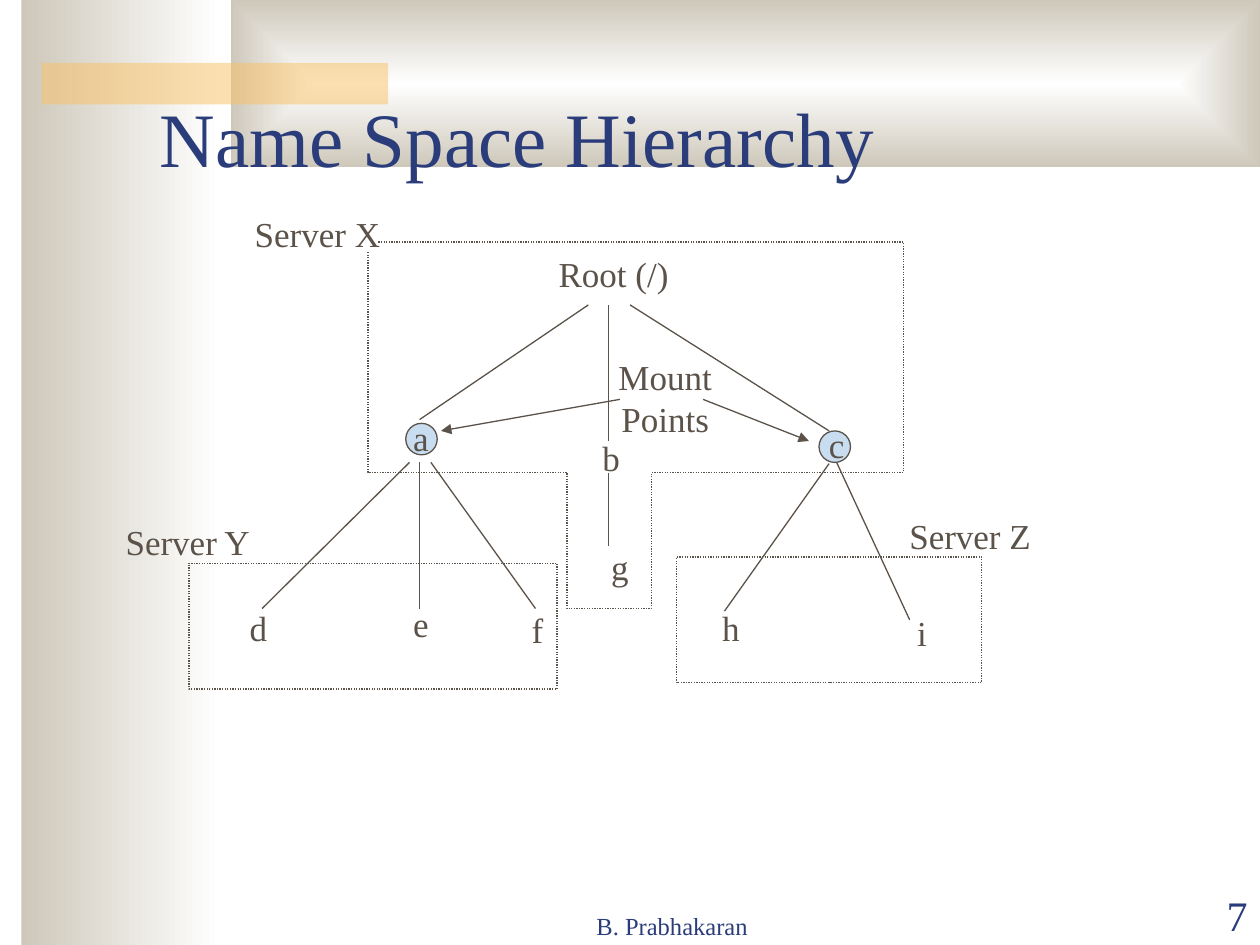
from lxml.etree import SubElement
from pptx import Presentation
from pptx.dml.color import RGBColor
from pptx.enum.dml import MSO_LINE
from pptx.enum.shapes import MSO_CONNECTOR, MSO_SHAPE
from pptx.enum.text import MSO_ANCHOR as Anchor, MSO_AUTO_SIZE as AutoSize, PP_ALIGN as Align
from pptx.oxml.ns import qn
from pptx.util import Inches, Pt

FONT = "Times New Roman"
INK, NAVY, STONE, WHITE = "5B5249", "2A3D7A", "CEC8BA", "FFFFFF"
AMBER, SKY = "FAC164", "C9DDF1"

LABELS = [
    ("Root (/)", 4.32, 1.95, 1.1), ("Server X", 1.87, 1.63, 1.3),
    ("Server Y", 0.84, 4.08, 1.3), ("Server Z", 7.05, 4.03, 1.3),
    ("a", 3.18, 3.25, 0.32), ("b", 4.68, 3.41, 0.34), ("c", 6.48, 3.31, 0.32),
    ("d", 1.88, 4.76, 0.34), ("e", 3.18, 4.73, 0.32), ("f", 4.12, 4.78, 0.29),
    ("g", 4.75, 4.28, 0.34), ("h", 5.63, 4.76, 0.34), ("i", 7.18, 4.8, 0.27),
]
BRANCHES = [
    (4.67, 2.42, 3.33, 3.33), (4.83, 2.42, 4.83, 3.5), (5, 2.42, 6.58, 3.42),
    (4.83, 3.75, 4.83, 4.33),
    (3.25, 3.67, 2.08, 4.83), (3.33, 3.67, 3.33, 4.83), (3.42, 3.67, 4.25, 4.83),
    (6.58, 3.68, 5.75, 4.85), (6.64, 3.67, 7.22, 4.92),
]
MOUNT_ARROWS = [(4.92, 3.17, 3.5, 3.42), (5.58, 3.17, 6.42, 3.5)]
SERVER_X = [(2.92, 2), (2.92, 3.75), (4.5, 3.75), (4.5, 4.83), (5.17, 4.83),
            (5.17, 3.75), (7.17, 3.75), (7.17, 1.92), (3, 1.92)]


def color(code):
    """Turn a hex string into a colour."""
    return RGBColor.from_string(code)


def add_panel(slide, box, preset=MSO_SHAPE.RECTANGLE, fill=None):
    """Add a borderless preset shape with an optional solid fill."""
    panel = slide.shapes.add_shape(preset, *map(Inches, box))
    panel.shadow.inherit = False
    panel.line.fill.background()
    if fill:
        panel.fill.solid()
        panel.fill.fore_color.rgb = color(fill)
    else:
        panel.fill.background()
    return panel


def add_gradient(slide, box, start, end, from_center=False):
    """Add a panel shaded from left to right or from its center outwards."""
    panel = add_panel(slide, box)
    panel.fill.gradient()
    panel.fill.gradient_angle = 0
    for stop, code in zip(panel.fill.gradient_stops, (start, end)):
        stop.color.rgb = color(code)
    if from_center:
        shading = panel.element.spPr.find(qn("a:gradFill"))
        shading.remove(shading.find(qn("a:lin")))
        route = SubElement(shading, qn("a:path"), {"path": "rect"})
        SubElement(route, qn("a:fillToRect"), dict.fromkeys("ltrb", "50000"))


def draw_outline(shape, dotted=False):
    """Give a shape or connector the thin diagram line."""
    shape.line.color.rgb = color(INK)
    shape.line.width = Pt(0.75)
    if dotted:
        shape.line.dash_style = MSO_LINE.ROUND_DOT


def add_server_x(slide):
    """Add the dotted open outline around the files of server X."""
    start, *corners = [(Inches(x), Inches(y)) for x, y in SERVER_X]
    builder = slide.shapes.build_freeform(*start)
    builder.add_line_segments(corners, close=False)
    server = builder.convert_to_shape()
    server.shadow.inherit = False
    server.fill.background()
    draw_outline(server, dotted=True)


def add_link(slide, ends, arrow=False):
    """Add a straight line, with an arrowhead at its end if asked."""
    link = slide.shapes.add_connector(MSO_CONNECTOR.STRAIGHT, *map(Inches, ends))
    draw_outline(link)
    if arrow:
        outline = link.element.spPr.find(qn("a:ln"))
        SubElement(outline, qn("a:tailEnd"), {"type": "triangle"})
    SubElement(link.element.spPr, qn("a:effectLst"))


def add_text(slide, text, box, size=20, ink=INK, align=Align.CENTER,
             anchor=Anchor.MIDDLE, wrap=False):
    """Add a text box with one paragraph for each line of text."""
    frame = slide.shapes.add_textbox(*map(Inches, box)).text_frame
    frame.word_wrap = wrap
    frame.auto_size = AutoSize.NONE if wrap else AutoSize.SHAPE_TO_FIT_TEXT
    frame.vertical_anchor = anchor
    frame.text = text
    for paragraph in frame.paragraphs:
        paragraph.alignment = align
        font = paragraph.font
        font.name, font.size, font.color.rgb = FONT, Pt(size), color(ink)


def main():
    """Build the name space slide and save it."""
    deck = Presentation()
    deck.slide_width, deck.slide_height = Inches(10), Inches(7.5)
    slide = deck.slides.add_slide(deck.slide_layouts[6])

    add_gradient(slide, (0.17, 0, 1.58, 7.5), STONE, WHITE)
    add_gradient(slide, (1.83, 0, 8.17, 1.33), WHITE, STONE, from_center=True)
    accent = add_panel(slide, (0.33, 0.5, 2.75, 0.33), fill=AMBER)
    tint = accent.element.spPr.find(qn("a:solidFill"))[0]
    SubElement(tint, qn("a:alpha"), {"val": "50000"})

    for left, top in [(6.5, 3.42), (3.22, 3.36)]:
        draw_outline(add_panel(slide, (left, top, 0.25, 0.25), MSO_SHAPE.OVAL, SKY))
    add_text(slide, "Name Space Hierarchy", (1.17, 0.25, 8.5, 1.25), size=44,
             ink=NAVY, align=Align.LEFT, anchor=Anchor.BOTTOM, wrap=True)
    for ends in BRANCHES:
        add_link(slide, ends)
    for box in [(1.5, 4.47, 2.92, 1), (5.37, 4.42, 2.42, 1)]:
        draw_outline(add_panel(slide, box), dotted=True)
    add_server_x(slide)
    for text, left, top, width in LABELS:
        add_text(slide, text, (left, top, width, 0.44))
    add_text(slide, "Mount\nPoints", (4.81, 2.77, 0.94, 0.77))
    for ends in MOUNT_ARROWS:
        add_link(slide, ends, arrow=True)

    add_text(slide, "B. Prabhakaran", (3.75, 7.01, 3.17, 0.5), size=14, ink=NAVY,
             anchor=Anchor.BOTTOM, wrap=True)
    add_text(slide, "7", (9, 7.01, 1, 0.5), size=24, ink=NAVY, align=Align.RIGHT,
             anchor=Anchor.BOTTOM, wrap=True)
    deck.save("out.pptx")


if __name__ == "__main__":
    main()
